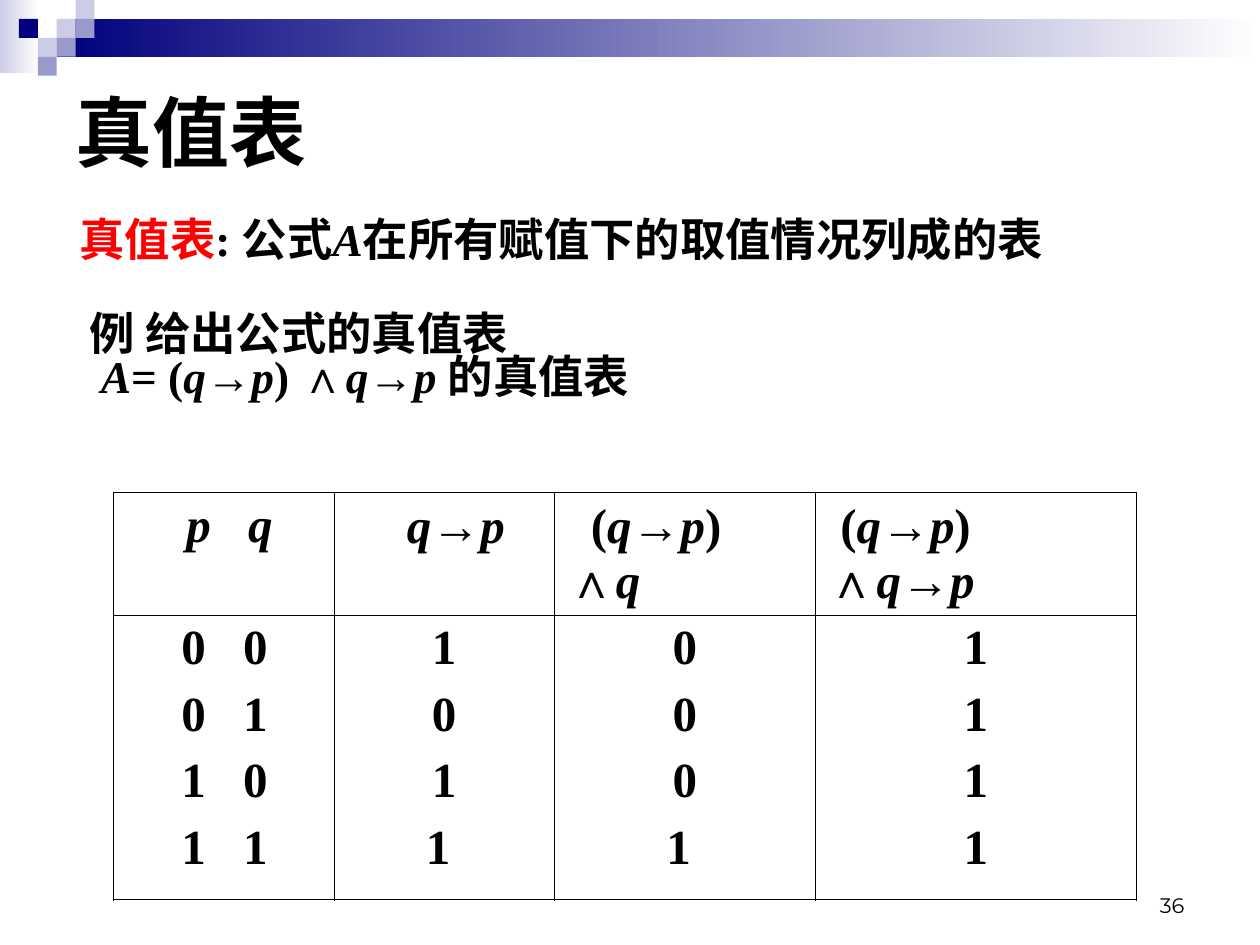
from dataclasses import dataclass
from itertools import groupby

from lxml.etree import SubElement
from pptx import Presentation
from pptx.dml.color import RGBColor
from pptx.enum.shapes import MSO_SHAPE
from pptx.enum.text import MSO_ANCHOR, MSO_AUTO_SIZE, PP_ALIGN
from pptx.oxml.ns import qn
from pptx.util import Inches, Pt


@dataclass(frozen=True)
class Theme:
    navy: str = "00007D"
    violet: str = "9999CC"
    lavender: str = "CCCCE6"
    white: str = "FFFFFF"
    black: str = "000000"
    red: str = "FF0000"
    chinese: str = "Noto Sans CJK SC"
    latin: str = "Times New Roman"
    symbol: str = "Arial"
    number: str = "Montserrat"
    title_size: float = 44
    body_size: float = 25.9
    table_size: float = 28
    number_size: float = 12
    outer_line: float = 1.08
    inner_line: float = 0.45


@dataclass(frozen=True)
class Block:
    """A rectangle measured in columns and rows of the mosaic grid."""
    column: float
    row: float
    width: float
    height: float
    color: str
    fades: bool = False


@dataclass(frozen=True)
class Line:
    """A body line: coloured term, remaining text, indent and space before."""
    term: str
    text: str
    indent: float
    before: float


@dataclass(frozen=True)
class Column:
    """A truth table column with the left insets of its two cells."""
    width: float
    heading: str
    values: tuple
    heading_inset: float = 0.1
    value_inset: float = 0.1
    first_indent: float = 0
    tab: float = 0


THEME = Theme()
UNIT = 0.15
BLOCKS = [
    Block(0, 0, 2.07, 3.87, THEME.lavender, True),
    Block(3, 1, 63.67, 2, THEME.navy, True),
    Block(3, 1, 1, 1, THEME.lavender),
    Block(4, 0, 1, 1, THEME.lavender),
    Block(4, 1, 1, 1, THEME.violet),
    Block(2, 2, 1, 1, THEME.lavender),
    Block(1, 1, 1, 1, THEME.navy),
    Block(3, 2, 1, 1, THEME.violet),
    Block(2, 3, 1, 1, THEME.violet),
]
LINES = [
    Line("真值表", ": 公式A在所有赋值下的取值情况列成的表", 0.1, 0),
    Line("", "例 给出公式的真值表", 0.18, 32),
    Line("", "A= (q→p) ∧q→p 的真值表", 0.27, 3),
]
COLUMNS = [
    Column(1.75, "p\tq", ("0\t0", "0\t1", "1\t0", "1\t1"), 0.58, 0.54, tab=0.49),
    Column(1.75, "q→p", ("1", "0", "1", "1 "), 0.58),
    Column(2.07, "(q→p)\v∧q", ("0", "0", "0", "1 "), first_indent=0.19),
    Column(2.55, "(q→p)\v∧q→p", ("1", "1", "1", "1"), first_indent=0.1),
]


def character_style(character: str) -> tuple:
    """Font and slant: variables slant, operators and Chinese stay upright."""
    if character in "→∧":
        return THEME.symbol, False
    if character >= "一":
        return THEME.chinese, False
    return THEME.latin, character.isalpha()


def write(paragraph, text: str, size: float, color: str = THEME.black) -> None:
    for part_number, part in enumerate(text.split("\v")):
        if part_number:
            paragraph.add_line_break()
        for (name, italic), characters in groupby(part, character_style):
            run = paragraph.add_run()
            run.text = "".join(characters)
            font = run.font
            font.name, font.size = name, Pt(size)
            font.bold, font.italic = True, italic
            font.color.rgb = RGBColor.from_string(color)
            if name == THEME.chinese:
                SubElement(font._element, qn("a:ea"), typeface=name)


def place(shape, left: float, top: float, width: float, height: float) -> None:
    shape.left, shape.top = Inches(left), Inches(top)
    shape.width, shape.height = Inches(width), Inches(height)


def draw_block(slide, block: Block) -> None:
    box = [Inches(UNIT * share) for share in
           (block.column, block.row, block.width, block.height)]
    shape = slide.shapes.add_shape(MSO_SHAPE.RECTANGLE, *box)
    shape.shadow.inherit = False
    shape.line.fill.background()
    if block.fades:
        shape.fill.gradient()
        shape.fill.gradient_angle = 0
        for stop, color in zip(shape.fill.gradient_stops, (block.color, THEME.white)):
            stop.color.rgb = RGBColor.from_string(color)
    else:
        shape.fill.solid()
        shape.fill.fore_color.rgb = RGBColor.from_string(block.color)


def draw_body(body) -> None:
    place(body, 0.43, 1.7, 8.74, 1.97)
    frame = body.text_frame
    frame.auto_size = MSO_AUTO_SIZE.NONE
    frame.margin_top = Inches(0.09)
    for index, line in enumerate(LINES):
        paragraph = frame.add_paragraph() if index else frame.paragraphs[0]
        properties = paragraph._p.get_or_add_pPr()
        properties.set("marL", str(Inches(line.indent)))
        properties.set("indent", "0")
        SubElement(properties, qn("a:buNone"))
        paragraph.line_spacing = 0.7
        paragraph.space_before = Pt(line.before)
        write(paragraph, line.term, THEME.body_size, THEME.red)
        write(paragraph, line.text, THEME.body_size)


def border(cell, tag: str, width: float) -> None:
    line = SubElement(cell._tc.get_or_add_tcPr(), qn(tag), w=str(Pt(width)))
    fill = SubElement(line, qn("a:solidFill"))
    SubElement(fill, qn("a:srgbClr"), val=THEME.black)


def fill_cell(cell, column: Column, texts: tuple, inset: float, centred: bool) -> None:
    cell.margin_left = Inches(inset)
    for index, text in enumerate(texts):
        frame = cell.text_frame
        paragraph = frame.add_paragraph() if index else frame.paragraphs[0]
        properties = paragraph._p.get_or_add_pPr()
        if column.tab:
            tabs = SubElement(properties, qn("a:tabLst"))
            SubElement(tabs, qn("a:tab"), pos=str(Inches(column.tab)), algn="l")
        elif centred:
            paragraph.alignment = PP_ALIGN.CENTER
        else:
            properties.set("indent", str(Inches(column.first_indent)))
        paragraph.space_before = Pt(7 if index else 0)
        write(paragraph, text, THEME.table_size)


def draw_table(slide) -> None:
    total = sum(column.width for column in COLUMNS)
    table = slide.shapes.add_table(2, len(COLUMNS), Inches(0.9), Inches(3.91),
                                   Inches(total), Inches(2.95)).table
    table.first_row = table.horz_banding = False
    for row, height in zip(table.rows, (0.69, 2.26)):
        row.height = Inches(height)
    last = len(COLUMNS) - 1
    for index, column in enumerate(COLUMNS):
        table.columns[index].width = Inches(column.width)
        heading, values = table.cell(0, index), table.cell(1, index)
        fill_cell(heading, column, (column.heading,), column.heading_inset, False)
        fill_cell(values, column, column.values, column.value_inset, True)
        for row, cell in enumerate((heading, values)):
            sides = (("a:lnL", index == 0), ("a:lnR", index == last),
                     ("a:lnT", row == 0), ("a:lnB", row == 1))
            for tag, outer in sides:
                border(cell, tag, THEME.outer_line if outer else THEME.inner_line)
            cell.fill.background()


def draw_number(slide, text: str) -> None:
    box = slide.shapes.add_textbox(Inches(7.17), Inches(6.83), Inches(2.33), Inches(0.5))
    frame = box.text_frame
    frame.word_wrap = True
    frame.vertical_anchor = MSO_ANCHOR.BOTTOM
    paragraph = frame.paragraphs[0]
    paragraph.alignment = PP_ALIGN.RIGHT
    run = paragraph.add_run()
    run.text = text
    run.font.name, run.font.size = THEME.number, Pt(THEME.number_size)
    run.font.color.rgb = RGBColor.from_string(THEME.black)


def main() -> None:
    presentation = Presentation()
    presentation.slide_width, presentation.slide_height = Inches(10), Inches(7.5)
    slide = presentation.slides.add_slide(presentation.slide_layouts[1])
    # Header band and mosaic
    for block in BLOCKS:
        draw_block(slide, block)
    # Title
    title = slide.shapes.title
    place(title, 0.5, 0.5, 9, 1.08)
    title.text_frame.vertical_anchor = MSO_ANCHOR.MIDDLE
    title.text_frame.paragraphs[0].alignment = PP_ALIGN.LEFT
    write(title.text_frame.paragraphs[0], "真值表", THEME.title_size)
    # Definition, truth table and page number
    draw_body(slide.placeholders[1])
    draw_table(slide)
    draw_number(slide, "36")
    presentation.save("out.pptx")


if __name__ == "__main__":
    main()
